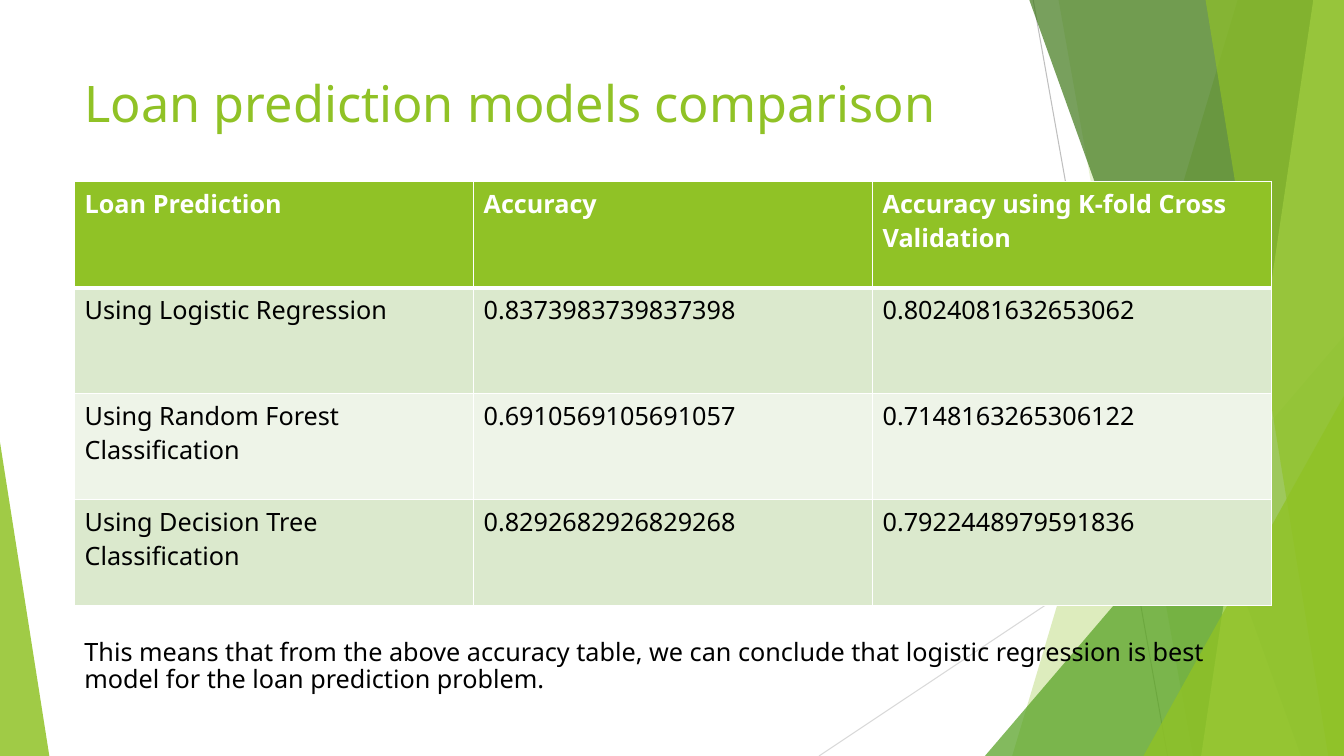
from lxml import etree
from pptx import Presentation
from pptx.dml.color import RGBColor
from pptx.enum.shapes import MSO_CONNECTOR, MSO_SHAPE
from pptx.oxml.ns import qn
from pptx.util import Pt

PX = 9525
WIDTH, HEIGHT = 1280, 720
LEFT = 71
STRAIGHT = MSO_CONNECTOR.STRAIGHT
TRIANGLE = MSO_SHAPE.ISOSCELES_TRIANGLE
FONT = "Noto Sans"

WHITE = RGBColor(0xFF, 0xFF, 0xFF)
BLACK = RGBColor(0x00, 0x00, 0x00)
LIME = RGBColor(0x90, 0xC2, 0x26)
GREEN = RGBColor(0x54, 0xA0, 0x21)
FOREST = RGBColor(0x3F, 0x78, 0x19)
PALE_LIME = RGBColor(0xC0, 0xE4, 0x74)
BAND_DARK = RGBColor(0xDB, 0xE9, 0xCD)
BAND_LIGHT = RGBColor(0xEE, 0xF4, 0xE8)
GREY = RGBColor(0xBF, 0xBF, 0xBF)
LIGHT_GREY = RGBColor(0xD9, 0xD9, 0xD9)

ROWS = [
    ("Loan Prediction", "Accuracy", "Accuracy using K-fold Cross Validation"),
    ("Using Logistic Regression", "0.8373983739837398", "0.8024081632653062"),
    ("Using Random Forest Classification", "0.6910569105691057", "0.7148163265306122"),
    ("Using Decision Tree Classification", "0.8292682926829268", "0.7922448979591836"),
]
CONCLUSION = (
    "This means that from the above accuracy table, we can conclude that "
    "logistic regression is best model for the loan prediction problem."
)


def px(*lengths):
    """Turn pixel lengths into EMU."""
    return [length * PX for length in lengths]


def style_text(frame, size, color, bold=False):
    """Give every run in a text frame the same font."""
    for para in frame.paragraphs:
        for span in para.runs:
            span.font.name = FONT
            span.font.size = Pt(size)
            span.font.bold = bold
            span.font.color.rgb = color


def add_line(page, start, end, color):
    """Draw a thin straight line."""
    line = page.shapes.add_connector(STRAIGHT, *px(*start, *end))
    line.line.color.rgb = color
    line.line.width = Pt(0.75)
    etree.SubElement(line._element.spPr, qn("a:effectLst"))


def paint(shape, color, opacity):
    """Fill a shape with a translucent colour and no outline."""
    shape.shadow.inherit = False
    shape.line.fill.background()
    shape.fill.solid()
    shape.fill.fore_color.rgb = color
    tint = shape._element.spPr.find(qn("a:solidFill"))[0]
    etree.SubElement(tint, qn("a:alpha"), val=str(opacity * 1000))


def add_facet(page, top_x, bottom_x, color, opacity):
    """Draw a full-height facet that reaches the right edge."""
    builder = page.shapes.build_freeform(top_x, -1, scale=PX)
    corners = [(WIDTH, -1), (WIDTH, HEIGHT), (bottom_x, HEIGHT)]
    builder.add_line_segments(corners, close=True)
    paint(builder.convert_to_shape(), color, opacity)


def add_corner(page, left, top, width, apex, color, opacity):
    """Draw a right triangle standing on the bottom edge."""
    shape = page.shapes.add_shape(TRIANGLE, *px(left, top, width, HEIGHT - top))
    shape.adjustments[0] = apex
    paint(shape, color, opacity)


def add_text(page, place, text, size, color, spacing=1.0):
    """Add a wrapped text box."""
    frame = page.shapes.add_textbox(*px(*place)).text_frame
    frame.word_wrap = True
    frame.text = text
    frame.paragraphs[0].line_spacing = spacing
    style_text(frame, size, color)


def add_border(cell, side, points):
    """Draw a white border on one side of a cell."""
    properties = cell._tc.get_or_add_tcPr()
    border = etree.SubElement(properties, qn(f"a:ln{side}"), w=str(Pt(points)))
    fill = etree.SubElement(border, qn("a:solidFill"))
    etree.SubElement(fill, qn("a:srgbClr"), val=str(WHITE))


def add_accuracy_table(page):
    """Add the table of model accuracies."""
    column_width, row_height = 380, 101
    columns = len(ROWS[0])
    size = (column_width * columns, row_height * len(ROWS))
    table = page.shapes.add_table(len(ROWS), columns, *px(LEFT, 173, *size)).table
    for row, texts in enumerate(ROWS):
        header = row == 0
        band = LIME if header else BAND_DARK if row % 2 else BAND_LIGHT
        for column, text in enumerate(texts):
            cell = table.cell(row, column)
            cell.text = text
            style_text(cell.text_frame, 18, WHITE if header else BLACK, header)
            for side in "LRTB":
                thick = (row, side) in ((0, "B"), (1, "T"))
                add_border(cell, side, 3 if thick else 1)
            cell.fill.solid()
            cell.fill.fore_color.rgb = band


def add_backdrop(page):
    """Draw the lines and green facets behind the content."""
    add_line(page, (984, 0), (1112, HEIGHT), GREY)
    add_line(page, (WIDTH, 387), (780, HEIGHT), LIGHT_GREY)
    add_facet(page, 1179, 964, LIME, 30)
    add_facet(page, 1008, 1136, LIME, 20)
    add_corner(page, 938, 320, 342, 1, GREEN, 72)
    add_facet(page, 980, 1239, FOREST, 70)
    add_facet(page, 1251, 1144, PALE_LIME, 70)
    add_facet(page, 1148, 1265, LIME, 65)
    add_corner(page, 1089, 377, 191, 1, LIME, 80)
    add_corner(page, 0, 421, 47, 0, LIME, 85)


def main():
    """Build and save the slide."""
    deck = Presentation()
    deck.slide_width, deck.slide_height = px(WIDTH, HEIGHT)
    page = deck.slides.add_slide(deck.slide_layouts[6])
    add_backdrop(page)
    add_text(page, (LEFT, 64, 974, 109), "Loan prediction models comparison", 36, LIME)
    add_accuracy_table(page)
    add_text(page, (LEFT, 605, 1096, 68), CONCLUSION, 18, BLACK, 0.88)
    deck.save("out.pptx")


if __name__ == "__main__":
    main()
